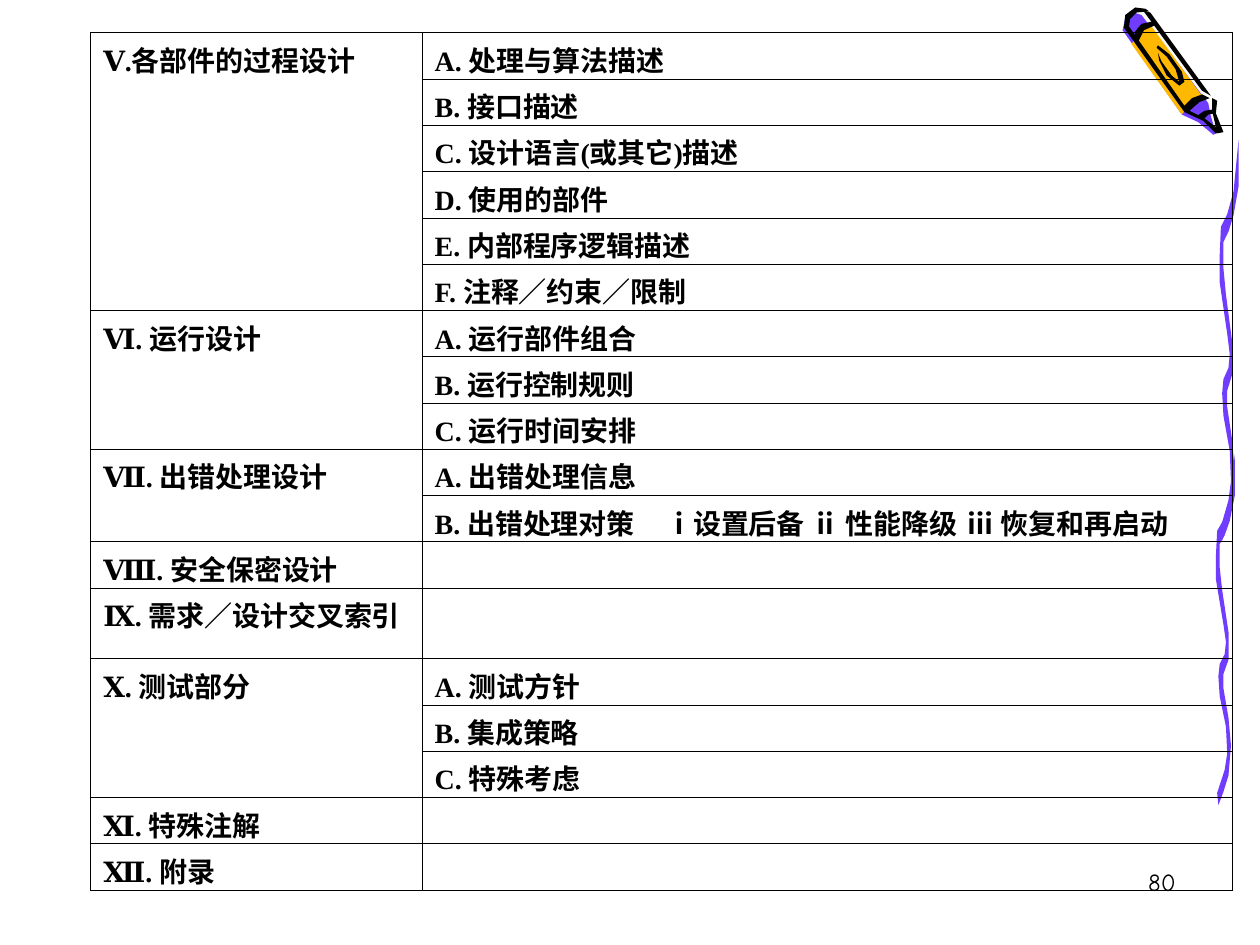
from dataclasses import dataclass

from lxml import etree
from pptx import Presentation
from pptx.dml.color import RGBColor
from pptx.enum.text import PP_ALIGN
from pptx.oxml.ns import qn
from pptx.util import Inches, Pt

RIGHT = PP_ALIGN.RIGHT
BLANK_LAYOUT = 6


@dataclass(frozen=True)
class Theme:
    ink: str = "000000"
    violet: str = "703DFF"
    amber: str = "FFB800"
    highlight: str = "F8F8F8"
    table_font: str = "Times New Roman"
    number_font: str = "Comic Neue"
    table_size: float = 16
    number_size: float = 14
    border_width: float = 0.45


THEME = Theme()

SECTIONS = [
    ("Ⅴ.各部件的过程设计", [
        "A. 处理与算法描述", "B. 接口描述", "C. 设计语言(或其它)描述",
        "D. 使用的部件", "E. 内部程序逻辑描述", "F. 注释∕约束∕限制"]),
    ("Ⅵ. 运行设计", ["A. 运行部件组合", "B. 运行控制规则", "C. 运行时间安排"]),
    ("Ⅶ. 出错处理设计", [
        "A. 出错处理信息",
        "B. 出错处理对策\tⅰ设置后备\tⅱ 性能降级\tⅲ 恢复和再启动"]),
    ("Ⅷ. 安全保密设计", [""]),
    ("Ⅸ. 需求∕设计交叉索引", [""]),
    ("Ⅹ. 测试部分", ["A. 测试方针", "B. 集成策略", "C. 特殊考虑"]),
    ("Ⅺ. 特殊注解", [""]),
    ("Ⅻ. 附录", [""]),
]
TALL_ROW = 12
TALL_HEIGHT = 0.56
HEADING_WIDTH = 2.63
TAB_STOPS = (1.83, 2.99, 4.22)

WAVE_GRID = (15, 318)
WAVE = [
    (1, 307), (7, 286), (9, 271), (8, 247), (3, 219), (2, 201), (3, 190), (7, 181),
    (8, 170), (6, 154), (0, 113), (0, 92), (1, 69), (6, 59), (11, 41), (15, 0),
    (15, 37), (11, 60), (7, 73), (3, 81), (3, 102), (5, 123), (10, 161), (10, 186),
    (6, 199), (6, 212), (10, 239), (12, 264), (10, 291), (6, 306), (2, 318)]

CRAYON_GRID = (80, 101)
CRAYON = [
    (THEME.highlight, [
        (77, 97), (72, 82), (61, 60), (18, 3), (11, 1), (5, 6), (3, 16), (50, 82),
        (65, 89), (75, 98)]),
    (THEME.violet, [
        (15, 6), (68, 76), (70, 86), (74, 100), (72, 101), (60, 91), (47, 85),
        (0, 18), (2, 9), (9, 4)]),
    (THEME.amber, [(7, 29), (47, 85), (55, 75), (65, 73), (23, 15), (14, 19)]),
    (THEME.ink, [(71, 81), (65, 82), (59, 86), (65, 88), (68, 85), (73, 84)]),
    (THEME.ink, [
        (18, 1), (10, 0), (2, 6), (1, 16), (49, 83), (64, 90), (74, 100), (80, 99),
        (74, 84), (75, 74), (71, 72), (71, 82), (74, 95), (65, 88), (53, 82),
        (61, 75), (69, 72), (63, 69), (55, 72), (49, 78), (5, 15), (6, 9), (11, 4),
        (21, 3)]),
    (THEME.ink, [(22, 4), (70, 70), (63, 66), (16, 2)]),
    (THEME.ink, [(24, 11), (15, 13), (10, 19), (9, 24), (12, 28), (17, 18), (26, 14)]),
    (THEME.ink, [
        (27, 32), (35, 39), (42, 49), (45, 59), (39, 54), (31, 43), (28, 36),
        (29, 42), (35, 54), (45, 62), (49, 59), (47, 51), (37, 37), (28, 30)]),
]


def add_outline(slide, points, grid, box, color):
    left, top, width, height = box
    scale = (Inches(width) / grid[0], Inches(height) / grid[1])
    builder = slide.shapes.build_freeform(*points[0], scale=scale)
    builder.add_line_segments(points[1:], close=True)
    shape = builder.convert_to_shape(Inches(left), Inches(top))
    shape.shadow.inherit = False
    shape.fill.solid()
    shape.fill.fore_color.rgb = RGBColor.from_string(color)
    shape.line.fill.background()


def add_ribbon(slide, boxes):
    for box in boxes:
        add_outline(slide, WAVE, WAVE_GRID, box, THEME.violet)


def add_crayon(slide, box):
    for color, points in CRAYON:
        add_outline(slide, points, CRAYON_GRID, box, color)


def format_paragraph(paragraph, name, size, bold=False):
    font = paragraph.font
    font.name = name
    font.size = Pt(size)
    font.bold = bold
    font.color.rgb = RGBColor.from_string(THEME.ink)


def add_tab_stops(paragraph, positions):
    tab_list = etree.SubElement(paragraph._p.get_or_add_pPr(), qn("a:tabLst"))
    for position in positions:
        etree.SubElement(tab_list, qn("a:tab"), pos=str(Inches(position)), algn="l")


def set_borders(cell):
    properties = cell._tc.get_or_add_tcPr()
    for index, side in enumerate(("lnL", "lnR", "lnT", "lnB")):
        line = etree.Element(qn(f"a:{side}"), w=str(Pt(THEME.border_width)))
        fill = etree.SubElement(line, qn("a:solidFill"))
        etree.SubElement(fill, qn("a:srgbClr"), val=THEME.ink)
        properties.insert(index, line)


def format_cell(cell, text):
    cell.fill.background()
    set_borders(cell)
    if not text:
        cell.margin_top = cell.margin_bottom = 0
    cell.text = text
    paragraph = cell.text_frame.paragraphs[0]
    if "\t" in text:
        add_tab_stops(paragraph, TAB_STOPS)
    format_paragraph(paragraph, THEME.table_font, THEME.table_size, bold=True)


def add_contents_table(slide, box):
    left, top, width, height = box
    rows = [(heading if index == 0 else "", item)
            for heading, items in SECTIONS for index, item in enumerate(items)]
    table = slide.shapes.add_table(len(rows), 2, *map(Inches, box)).table
    table.first_row = table.horz_banding = False
    table.columns[0].width = Inches(HEADING_WIDTH)
    table.columns[1].width = Inches(width - HEADING_WIDTH)
    row_height = (height - TALL_HEIGHT) / (len(rows) - 1)
    for row_index, texts in enumerate(rows):
        is_tall = row_index == TALL_ROW
        table.rows[row_index].height = Inches(TALL_HEIGHT if is_tall else row_height)
        for column_index, text in enumerate(texts):
            format_cell(table.cell(row_index, column_index), text)
    first = 0
    for _, items in SECTIONS:
        last = first + len(items) - 1
        if last > first:
            table.cell(first, 0).merge(table.cell(last, 0))
        first = last + 1


def add_page_number(slide, box, number):
    text_frame = slide.shapes.add_textbox(*map(Inches, box)).text_frame
    text_frame.word_wrap = True
    paragraph = text_frame.paragraphs[0]
    paragraph.text = number
    paragraph.alignment = RIGHT
    format_paragraph(paragraph, THEME.number_font, THEME.number_size)


def main():
    presentation = Presentation()
    presentation.slide_width = Inches(10)
    presentation.slide_height = Inches(7.5)
    slide = presentation.slides.add_slide(presentation.slide_layouts[BLANK_LAYOUT])
    add_ribbon(slide, [(9.65, 3.61, 0.15, 2.78), (9.68, 1.11, 0.15, 3.18)])
    add_crayon(slide, (8.91, 0.06, 0.8, 1.01))
    add_page_number(slide, (7.35, 6.83, 2.08, 0.5), "80")
    add_contents_table(slide, (0.72, 0.26, 9.06, 6.81))
    presentation.save("out.pptx")


if __name__ == "__main__":
    main()
